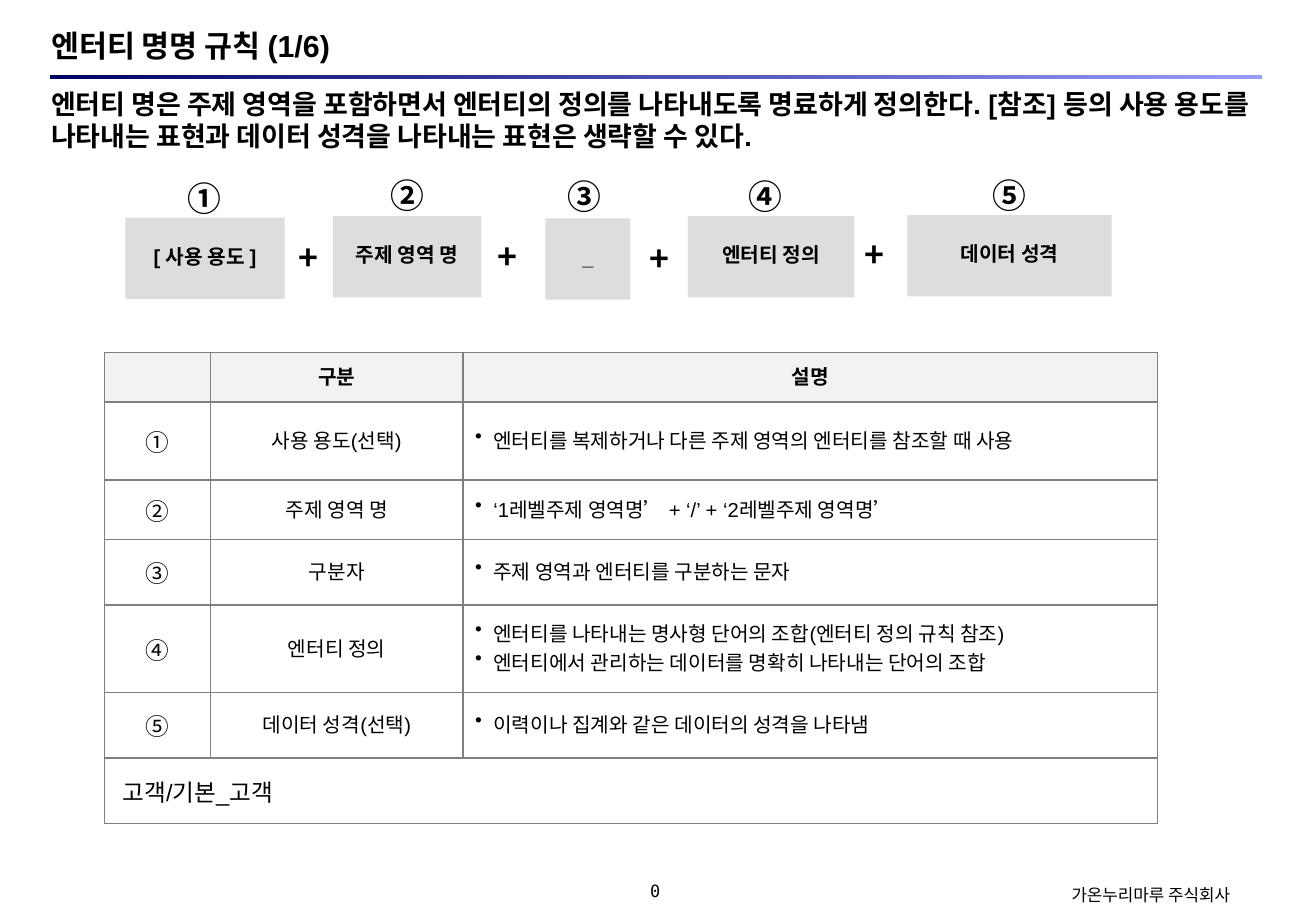
from dataclasses import dataclass

from lxml import etree
from pptx import Presentation
from pptx.dml.color import RGBColor
from pptx.enum.shapes import MSO_SHAPE
from pptx.enum.text import MSO_ANCHOR, MSO_AUTO_SIZE, PP_ALIGN
from pptx.oxml.ns import qn
from pptx.util import Cm, Pt

LEFT, CENTER = PP_ALIGN.LEFT, PP_ALIGN.CENTER
TOP, MIDDLE = MSO_ANCHOR.TOP, MSO_ANCHOR.MIDDLE
NO_AUTOFIT = MSO_AUTO_SIZE.NONE
RECTANGLE = MSO_SHAPE.RECTANGLE

ARIAL, KOREAN, MONO = "Arial", "Noto Sans CJK KR", "DejaVu Sans Mono"
BLACK, WHITE, GREY = "000000", "FFFFFF", "808080"
BOX_GREY, HEADER_GREY = "DDDDDD", "F2F2F2"
TIGHT = 0.85


@dataclass
class NamePart:
    """One numbered box of the naming formula, in centimetres."""
    marker: str
    label: str
    left: float
    top: float
    width: float
    marker_left: float
    marker_top: float


@dataclass
class Rule:
    """One body row of the table."""
    marker: str
    kind: str
    notes: list[str]


PARTS = [
    NamePart("①", "[ 사용 용도 ]", 2.62, 4.55, 3.33, 3.66, 3.71),
    NamePart("②", "주제 영역 명", 6.96, 4.52, 3.1, 7.9, 3.66),
    NamePart("③", "_", 11.4, 4.57, 1.78, 11.61, 3.68),
    NamePart("④", "엔터티 정의", 14.38, 4.52, 3.48, 15.39, 3.68),
    NamePart("⑤", "데이터 성격", 18.97, 4.5, 4.27, 20.5, 3.66),
]
PLUS_PLACES = [(5.99, 4.95), (10.16, 4.93), (13.34, 4.98), (17.83, 4.88)]

RULES = [
    Rule("①", "사용 용도(선택)",
         ["엔터티를 복제하거나 다른 주제 영역의 엔터티를 참조할 때 사용"]),
    Rule("②", "주제 영역 명", ["‘1레벨주제 영역명’ + ‘/’ + ‘2레벨주제 영역명’"]),
    Rule("③", "구분자", ["주제 영역과 엔터티를 구분하는 문자"]),
    Rule("④", "엔터티 정의",
         ["엔터티를 나타내는 명사형 단어의 조합(엔터티 정의 규칙 참조)",
          "엔터티에서 관리하는 데이터를 명확히 나타내는 단어의 조합"]),
    Rule("⑤", "데이터 성격(선택)", ["이력이나 집계와 같은 데이터의 성격을 나타냄"]),
]
COLUMN_WIDTHS = [2.22, 5.28, 14.52]
ROW_HEIGHTS = [1.04, 1.63, 1.24, 1.37, 1.83, 1.37, 1.37]


def color(value: str) -> RGBColor:
    return RGBColor.from_string(value)


def set_indent(para, margin: float, bullet: str = "") -> None:
    """Hang the text on a bullet, or drop the inherited bullet."""
    properties = para._p.get_or_add_pPr()
    properties.set("marL", str(Cm(margin)))
    properties.set("indent", str(-Cm(margin)))
    if bullet:
        etree.SubElement(properties, qn("a:buChar")).set("char", bullet)
    else:
        etree.SubElement(properties, qn("a:buNone"))


def write(para, text: str, size: float, name: str = ARIAL, bold: bool = False,
          align=CENTER, spacing: float = 1.0) -> None:
    para.text = text
    para.alignment = align
    para.line_spacing = spacing
    para.space_before = Pt(0)
    font = para.font
    font.size, font.name, font.bold = Pt(size), name, bold
    font.color.rgb = color(BLACK)


def set_frame(box, anchor=MIDDLE, wrap: bool = True, inset: float = 0):
    frame = box.text_frame
    frame.auto_size = NO_AUTOFIT
    frame.word_wrap = wrap
    frame.vertical_anchor = anchor
    frame.margin_left = frame.margin_right = Cm(inset)
    frame.margin_top = frame.margin_bottom = Cm(inset)
    return frame.paragraphs[0]


def place(box, left: float, top: float, width: float, height: float) -> None:
    box.left, box.top = Cm(left), Cm(top)
    box.width, box.height = Cm(width), Cm(height)


def add_rectangle(page, left: float, top: float, width: float, height: float):
    box = page.shapes.add_shape(RECTANGLE, Cm(left), Cm(top), Cm(width), Cm(height))
    box.shadow.inherit = False
    box.line.fill.background()
    return box


def add_label(page, text: str, left: float, top: float, width: float, height: float,
              size: float, name: str = KOREAN, bold: bool = False,
              anchor=MIDDLE, inset: float = 0, spacing: float = 1.0) -> None:
    box = page.shapes.add_textbox(Cm(left), Cm(top), Cm(width), Cm(height))
    write(set_frame(box, anchor, False, inset), text, size, name, bold, spacing=spacing)


def style_cell(cell, fill: str) -> None:
    cell.vertical_anchor = MIDDLE
    cell.fill.solid()
    cell.fill.fore_color.rgb = color(fill)
    properties = cell._tc.get_or_add_tcPr()
    for index, side in enumerate(("a:lnL", "a:lnR", "a:lnT", "a:lnB")):
        line = etree.Element(qn(side), w=str(Pt(1)))
        solid = etree.SubElement(line, qn("a:solidFill"))
        etree.SubElement(solid, qn("a:srgbClr")).set("val", GREY)
        properties.insert(index, line)


def add_heading(page) -> None:
    title, body = page.shapes.title, page.placeholders[1]
    place(title, 1.07, 0.56, 10.69, 0.76)
    write(set_frame(title), "엔터티 명명 규칙 (1/6)", 18, bold=True, align=LEFT)
    rule = add_rectangle(page, 1.04, 1.57, 25.35, 0.08)
    rule.fill.gradient()
    rule.fill.gradient_angle = 0
    for stop, shade in zip(rule.fill.gradient_stops, ("000066", "9999FF")):
        stop.color.rgb = color(shade)
    place(body, 1.07, 1.83, 25.32, 1.37)
    para = set_frame(body, TOP)
    set_indent(para, 0)
    write(para, "엔터티 명은 주제 영역을 포함하면서 엔터티의 정의를 나타내도록 명료하게 "
          "정의한다. [참조] 등의 사용 용도를 나타내는 표현과 데이터 성격을 나타내는 "
          "표현은 생략할 수 있다.", 16, bold=True, align=LEFT)


def add_formula(page) -> None:
    symbol = dict(size=20, bold=True, anchor=TOP, inset=0.13, spacing=TIGHT)
    for part in PARTS:
        box = add_rectangle(page, part.left, part.top, part.width, 1.7)
        box.fill.solid()
        box.fill.fore_color.rgb = color(BOX_GREY)
        write(set_frame(box, wrap=False, inset=0.2), part.label, 12, bold=True, spacing=TIGHT)
        add_label(page, part.marker, part.marker_left, part.marker_top, 1.22, 0.99, **symbol)
    for left, top in PLUS_PLACES:
        add_label(page, "+", left, top, 0.91, 0.99, **symbol)


def add_rule_table(page) -> None:
    table = page.shapes.add_table(
        len(ROW_HEIGHTS), len(COLUMN_WIDTHS), Cm(2.18), Cm(7.37),
        Cm(sum(COLUMN_WIDTHS)), Cm(sum(ROW_HEIGHTS))).table
    for column, width in zip(table.columns, COLUMN_WIDTHS):
        column.width = Cm(width)
    for index, height in enumerate(ROW_HEIGHTS):
        table.rows[index].height = Cm(height)
        for cell in table.rows[index].cells:
            style_cell(cell, WHITE if index else HEADER_GREY)

    for column, heading in enumerate(("구분", "설명"), start=1):
        write(table.cell(0, column).text_frame.paragraphs[0], heading, 12,
              bold=True, spacing=TIGHT)
    for row, rule in enumerate(RULES, start=1):
        marker, kind, notes = (table.cell(row, column).text_frame for column in range(3))
        write(marker.paragraphs[0], rule.marker, 14, KOREAN)
        write(kind.paragraphs[0], rule.kind, 12, spacing=TIGHT)
        for index, note in enumerate(rule.notes):
            para = notes.add_paragraph() if index else notes.paragraphs[0]
            set_indent(para, 0.38, "•")
            write(para, note, 12, align=LEFT, spacing=TIGHT)
            para.space_before = Pt(2.5 if index else 0)

    example = table.cell(len(ROW_HEIGHTS) - 1, 0)
    example.merge(table.cell(len(ROW_HEIGHTS) - 1, 2))
    example.margin_left = Cm(0.38)
    write(example.text_frame.paragraphs[0], "고객/기본_고객", 14, align=LEFT)


def main() -> None:
    deck = Presentation()
    deck.slide_width, deck.slide_height = Cm(27.51), Cm(19.05)
    page = deck.slides.add_slide(deck.slide_layouts[1])
    add_heading(page)
    add_formula(page)
    add_rule_table(page)
    # Footer
    add_label(page, "0", 12.85, 18.42, 1.7, 0.43, 10, MONO)
    add_label(page, "가온누리마루 주식회사", 22.1, 18.49, 3.91, 0.43, 10)
    deck.save("out.pptx")


if __name__ == "__main__":
    main()
